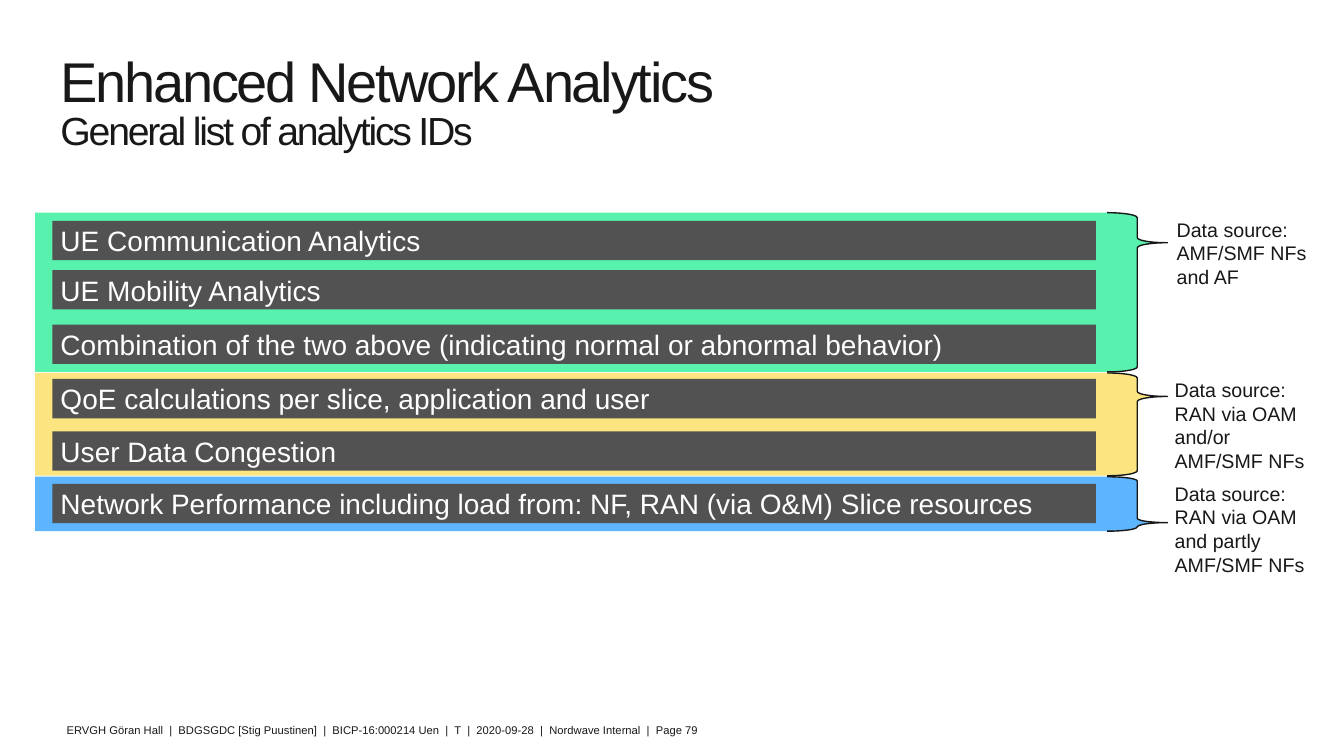
from copy import deepcopy
from dataclasses import dataclass

from pptx import Presentation
from pptx import util as u
from pptx.dml.color import RGBColor
from pptx.enum import shapes, text

# Content
HEADING = [("Enhanced Network Analytics", 40), ("General list of analytics IDs", 28)]
FOOTER = ("ERVGH Göran Hall  |  BDGSGDC [Stig Puustinen]  |  BICP-16:000214 Uen  |  T  |  "
          "2020-09-28  |  Nordwave Internal  |  Page 79")
# Each group: colour, top, height, brace tip (share of height), source column,
# source lines, and analytics with their offsets below the group's top
GROUPS = [
    ("58F2AE", 2.11, 1.58, 0.189, 11.59,
     ["Data source:", "AMF/SMF NFs", "and AF"],
     [(0.08, "UE Communication Analytics"),
      (0.57, "UE Mobility Analytics"),
      (1.11, "Combination of the two above (indicating normal or abnormal behavior)")]),
    ("FCE481", 3.70, 1.02, 0.229, 11.57,
     ["Data source:", "RAN via OAM", "and/or", "AMF/SMF NFs"],
     [(0.06, "QoE calculations per slice, application and user"),
      (0.58, "User Data Congestion")]),
    ("5DB5FF", 4.73, 0.54, 0.843, 11.57,
     ["Data source:", "RAN via OAM", "and partly", "AMF/SMF NFs"],
     [(0.07, "Network Performance including load from: NF, RAN (via O&M) Slice resources")]),
]

# Columns as (left, width), and row heights, in inches
BAND, BAR, BRACE = (0.35, 10.66), (0.52, 10.35), (10.98, 0.6)
BAR_HEIGHT = 0.39
SOURCE_SIZE = (1.45, 1.0)


@dataclass(frozen=True)
class Theme:
    font: str = "Arial"
    ink: str = "181818"
    footer_ink: str = "1A1816"
    bar: str = "525252"
    bar_ink: str = "FFFFFF"
    bar_size: int = 20
    source_size: int = 14
    footer_size: int = 8
    title_tracking: int = -160


THEME = Theme()


def box(left, top, width, height):
    return [u.Inches(v) for v in (left, top, width, height)]


def write(shape, lines, color, anchor=text.MSO_ANCHOR.TOP, wrap=True, tracking=None):
    """Write (line, size) pairs as one left-aligned paragraph."""
    frame = shape.text_frame
    frame.auto_size = text.MSO_AUTO_SIZE.NONE
    frame.word_wrap = wrap
    frame.vertical_anchor = anchor
    frame.margin_left = frame.margin_right = u.Inches(0.08)
    frame.margin_top = frame.margin_bottom = u.Inches(0.04)
    paragraph = frame.paragraphs[0]
    paragraph.alignment = text.PP_ALIGN.LEFT
    paragraph.space_before = u.Pt(0)
    run = None
    for line, size in lines:
        if run is not None:
            # The break takes the format of the line it ends
            paragraph.add_line_break()
            paragraph._p[-1].append(deepcopy(run._r.rPr))
        run = paragraph.add_run()
        run.text = line
        run.font.name = THEME.font
        run.font.size = u.Pt(size)
        run.font.color.rgb = RGBColor.from_string(color)
        if tracking is not None:
            run._r.rPr.set("spc", str(tracking))
    return paragraph


def filled(slide, kind, place, color):
    shape = slide.shapes.add_shape(kind, *place)
    shape.shadow.inherit = False
    shape.fill.solid()
    shape.fill.fore_color.rgb = RGBColor.from_string(color)
    shape.line.fill.background()
    return shape


def add_group(slide, color, top, height, tip, source_left, source, analytics):
    rect = shapes.MSO_SHAPE.RECTANGLE
    # Coloured band and its bars
    filled(slide, rect, box(BAND[0], top, BAND[1], height), color)
    for offset, name in analytics:
        bar = filled(slide, rect, box(BAR[0], top + offset, BAR[1], BAR_HEIGHT), THEME.bar)
        write(bar, [(name, THEME.bar_size)], THEME.bar_ink, text.MSO_ANCHOR.MIDDLE)
    # Brace pointing at the data source
    brace = filled(slide, shapes.MSO_SHAPE.RIGHT_BRACE,
                   box(BRACE[0], top, BRACE[1], height), color)
    brace.adjustments[0], brace.adjustments[1] = 0.083, tip
    brace.line.color.rgb = RGBColor.from_string(THEME.ink)
    brace.line.width = u.Pt(1)
    label = slide.shapes.add_textbox(*box(source_left, top + 0.01, *SOURCE_SIZE))
    write(label, [(line, THEME.source_size) for line in source], THEME.ink, wrap=False)


def main():
    deck = Presentation()
    deck.slide_width, deck.slide_height = u.Inches(13.33), u.Inches(7.5)
    slide = deck.slides.add_slide(deck.slide_layouts[5])

    # Title
    title = slide.shapes.title
    title.left, title.top, title.width, title.height = box(0.52, 0.52, 9.14, 1.18)
    heading = write(title, HEADING, THEME.ink, tracking=THEME.title_tracking)
    heading.line_spacing = 0.85

    # Analytics groups
    for group in GROUPS:
        add_group(slide, *group)

    # Footer
    footer = slide.shapes.add_textbox(*box(0.58, 7.14, 10.79, 0.24))
    write(footer, [(FOOTER, THEME.footer_size)], THEME.footer_ink)

    deck.save("out.pptx")


if __name__ == "__main__":
    main()
